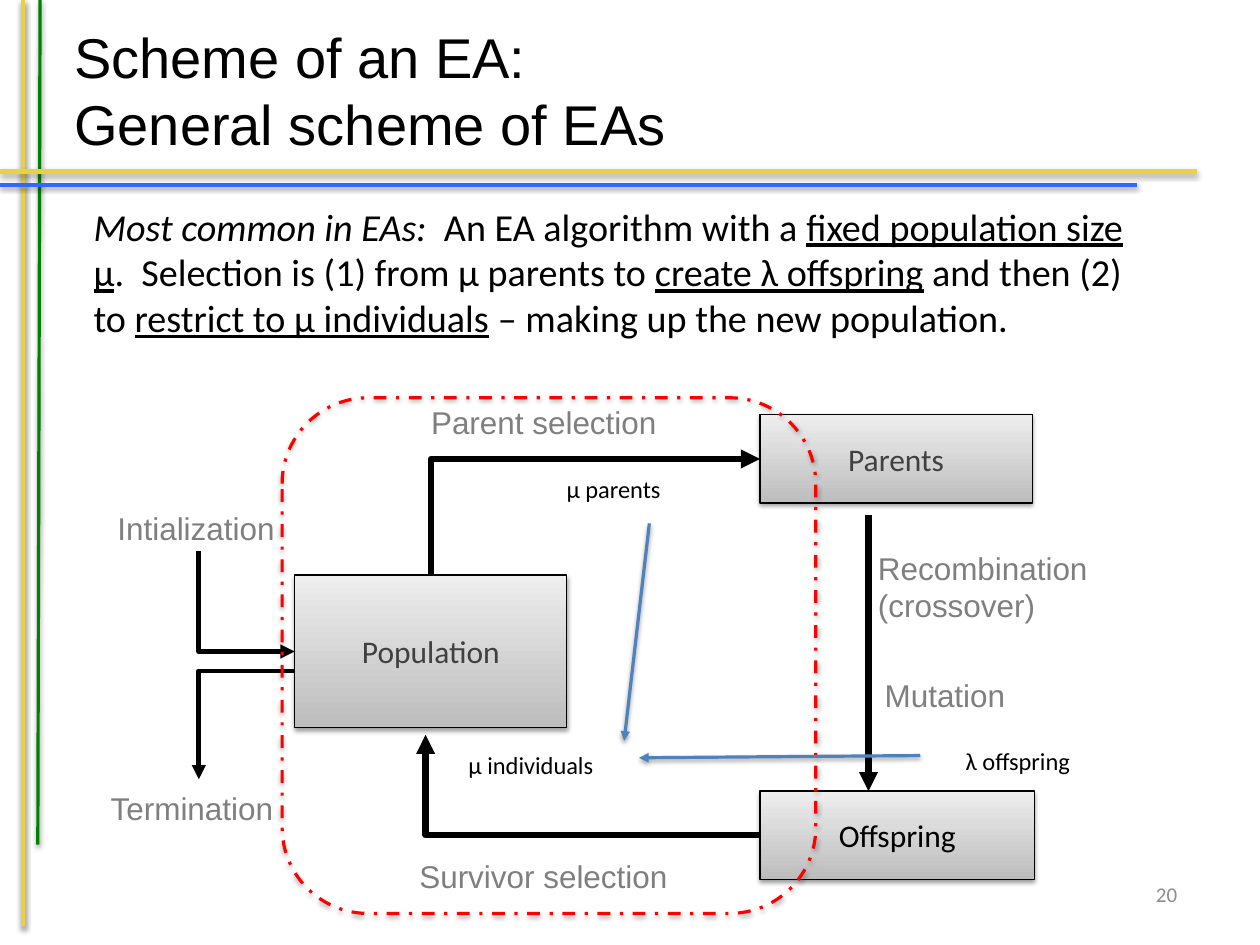
from lxml.etree import SubElement
from pptx import Presentation
from pptx.dml.color import RGBColor
from pptx.enum.dml import MSO_LINE
from pptx.enum.shapes import MSO_CONNECTOR, MSO_SHAPE
from pptx.enum.text import MSO_ANCHOR, PP_ALIGN
from pptx.oxml.ns import qn
from pptx.util import Cm, Pt

BLACK, GREY, YELLOW, RED, STEEL = "000000", "7F7F7F", "E8D241", "FF0000", "4F81BD"


def color(code):
    return RGBColor.from_string(code)


def add_shadow(effects, opacity=38):
    """Fill an effect list with a soft shadow that falls straight down."""
    shadow = SubElement(effects, qn("a:outerShdw"), blurRad=str(Pt(3.1)),
                        dist=str(Pt(1.6)), dir="5400000", rotWithShape="0")
    tint = SubElement(shadow, qn("a:srgbClr"), val=BLACK)
    SubElement(tint, qn("a:alpha"), val=str(opacity * 1000))


class SchemePage:
    """Draws on one page; all positions and sizes are in centimetres."""
    body_font, label_font = "Calibri", "Arial"
    label_size, note_size = 19.8, 15.4

    def __init__(self, deck):
        self.page = deck.slides.add_slide(deck.slide_layouts[6])

    def style(self, para, size, font, code, align=PP_ALIGN.LEFT):
        para.alignment = align
        para.font.size, para.font.name = Pt(size), font
        para.font.color.rgb = color(code)

    def text(self, content, place, size, font, code=BLACK,
             anchor=MSO_ANCHOR.TOP, align=PP_ALIGN.LEFT):
        frame = self.page.shapes.add_textbox(*map(Cm, place)).text_frame
        frame.word_wrap = True
        frame.vertical_anchor = anchor
        frame.text = content
        for para in frame.paragraphs:
            self.style(para, size, font, code, align)
        return frame

    def label(self, content, left, top, width, height=1.1):
        self.text(content, (left, top, width, height),
                  self.label_size, self.label_font, GREY)

    def note(self, content, left, top, width):
        self.text(content, (left, top, width, 0.91), self.note_size, self.body_font)

    def outline(self, preset, place, code, width, opacity):
        shape = self.page.shapes.add_shape(preset, *map(Cm, place))
        shape.shadow.inherit = False
        add_shadow(shape._element.spPr.find(qn("a:effectLst")), opacity)
        shape.line.color.rgb = color(code)
        shape.line.width = Pt(width)
        return shape

    def box(self, name, place, code="404040"):
        box = self.outline(MSO_SHAPE.RECTANGLE, place, BLACK, 0.75, 38)
        box.fill.gradient()
        box.fill.gradient_angle = 90
        for stop, shade in zip(box.fill.gradient_stops, ("BDBDBD", "EEEEEE")):
            stop.color.rgb = color(shade)
        for stop, position in zip(box.fill.gradient_stops, (0, 1)):
            stop.position = position
        frame = box.text_frame
        frame.text = name
        frame.vertical_anchor = MSO_ANCHOR.MIDDLE
        self.style(frame.paragraphs[0], self.label_size, self.body_font, code,
                   PP_ALIGN.CENTER)

    def frame(self, place):
        frame = self.outline(MSO_SHAPE.ROUNDED_RECTANGLE, place, RED, 2, 35)
        frame.fill.background()
        frame.line.dash_style = MSO_LINE.DASH_DOT

    def line(self, start, end, code, width, arrow=None, shadow=True,
             kind=MSO_CONNECTOR.STRAIGHT):
        """Join two points; arrow is None, "headEnd" (start) or "tailEnd" (end)."""
        line = self.page.shapes.add_connector(kind, *map(Cm, start + end))
        line.line.color.rgb = color(code)
        line.line.width = Pt(width)
        if arrow:
            SubElement(line.line._get_or_add_ln(), qn(f"a:{arrow}"), type="triangle")
        effects = SubElement(line._element.spPr, qn("a:effectLst"))
        if shadow:
            add_shadow(effects)
        return line

    def corner(self, start, end, width, arrow):
        """Run level from start, then upright to end, with a single bend."""
        line = self.line(start, end, BLACK, width, arrow, False, MSO_CONNECTOR.ELBOW)
        line._element.spPr.find(qn("a:prstGeom")).set("prst", "bentConnector2")


def main():
    deck = Presentation()
    deck.slide_width, deck.slide_height = Cm(28), Cm(21)
    scheme = SchemePage(deck)

    for start, end, code, width in (
            ((0.51, 0), (0.51, 20.57), YELLOW, 3),
            ((0.89, 0), (0.84, 18.77), "008000", 2),
            ((0, 3.81), (26.59, 3.81), YELLOW, 3),
            ((0, 4.11), (25.27, 4.11), "3366FF", 2)):
        scheme.line(start, end, code, width)

    scheme.text("Scheme of an EA:\vGeneral scheme of EAs", (1.4, 0.25, 25.2, 3.5),
                35.3, scheme.label_font, anchor=MSO_ANCHOR.MIDDLE)
    intro = scheme.text("", (1.83, 4.39, 23.88, 3.33), 24, scheme.body_font)
    for content, italic, underline in (
            ("Most common in EAs: ", True, False),
            (" An EA algorithm with a ", False, False),
            ("fixed population size μ", False, True),
            (".  Selection is (1) from μ parents to ", False, False),
            ("create λ offspring", False, True),
            (" and then (2) to ", False, False),
            ("restrict to μ individuals", False, True),
            (" – making up the new population.", False, False)):
        span = intro.paragraphs[0].add_run()
        span.text = content
        span.font.italic, span.font.underline = italic, underline

    scheme.box("Population", (6.55, 12.78, 6.05, 3.38))
    scheme.box("Parents", (16.89, 9.22, 6.05, 1.96))
    scheme.corner((16.89, 10.2), (9.58, 12.78), 4, "headEnd")
    scheme.corner((16.89, 18.56), (9.46, 16.33), 4, "tailEnd")
    scheme.box("Offspring", (16.89, 17.58, 6.1, 1.96), BLACK)
    scheme.line((19.3, 11.45), (19.3, 17.58), BLACK, 4, "tailEnd", False)
    scheme.corner((6.55, 14.48), (4.42, 12.24), 3, "headEnd")
    scheme.corner((6.55, 14.91), (4.42, 17.32), 3, "tailEnd")

    scheme.label("Parent selection", 9.33, 8.84, 5.8)
    scheme.label("Survivor selection", 9.07, 18.92, 6.3)
    scheme.label("Recombination\n(crossover)", 19.26, 12.07, 5.5, 1.98)
    scheme.label("Mutation", 19.41, 14.91, 3.5)
    scheme.label("Intialization", 2.36, 11.18, 4.2)
    scheme.label("Termination", 2.21, 17.4, 4.4)

    scheme.frame((6.27, 8.84, 11.86, 11.46))
    scheme.note("μ parents", 12.34, 10.41, 3.05)
    scheme.note("λ offspring", 21.21, 16.46, 3.25)
    scheme.note("μ individuals", 10.16, 16.54, 4.04)
    scheme.line((20.45, 16.79), (14.2, 16.84), STEEL, 2, "tailEnd")
    scheme.line((14.43, 11.63), (13.87, 16.46), STEEL, 2, "tailEnd")

    number = scheme.text("20", (24.51, 19.58, 1.65, 1.52), 13.2, scheme.body_font,
                         "8C8C8C", align=PP_ALIGN.RIGHT)
    number.margin_right = number.margin_top = 0

    deck.save("out.pptx")


if __name__ == "__main__":
    main()
